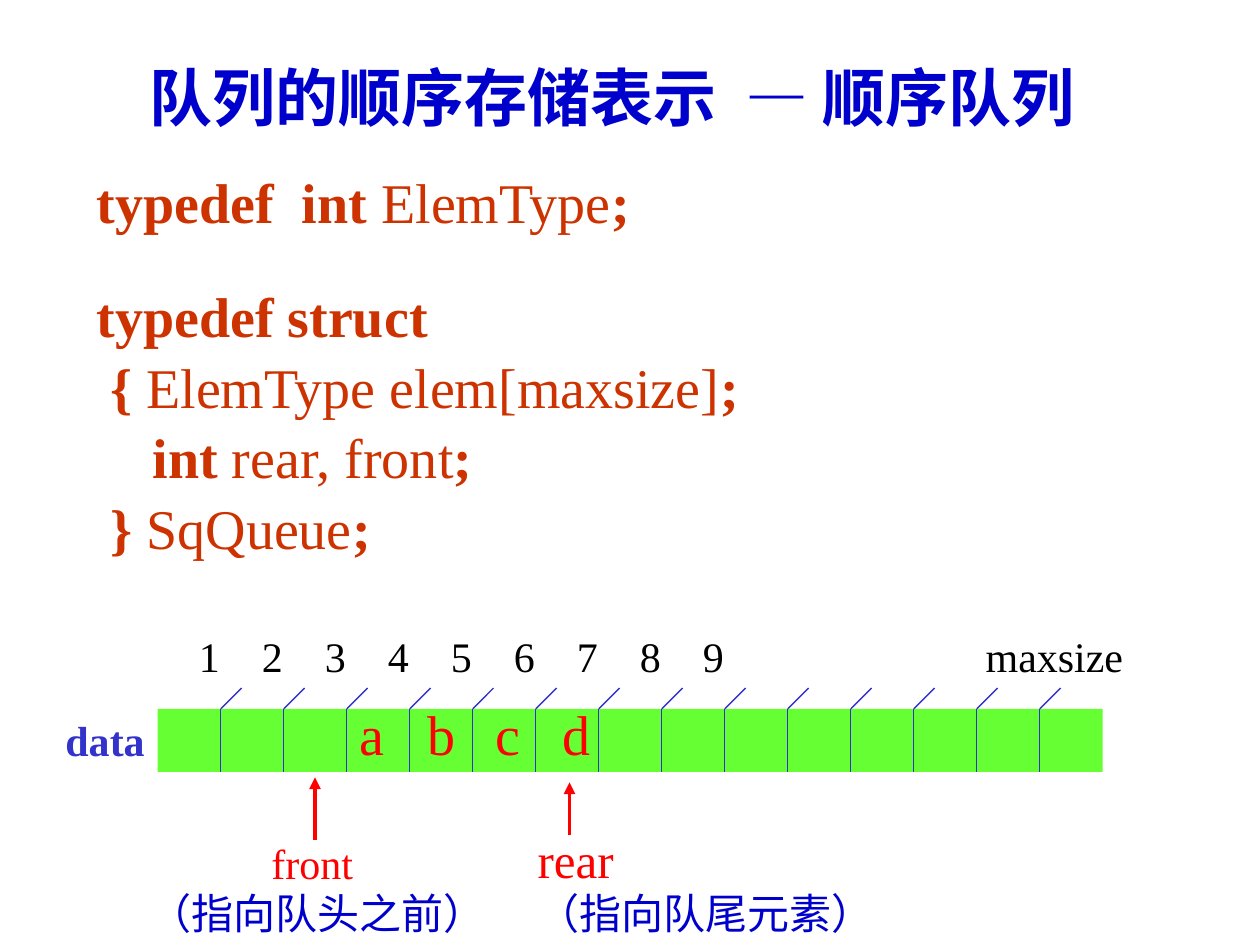
import pptx
import pptx.dml.color
import pptx.enum.shapes
import pptx.enum.text
import pptx.oxml.ns
import pptx.util
from lxml import etree

Cm, Pt = pptx.util.Cm, pptx.util.Pt
RGB = pptx.dml.color.RGBColor.from_string
ALIGN = pptx.enum.text.PP_ALIGN
qn = pptx.oxml.ns.qn


class Theme:
    latin, cjk = "Times New Roman", "Noto Sans CJK SC"
    title, code, cells = "0000CC", "CC3300", "66FF33"
    rule, index, pointer = "3333CC", "000000", "FF0000"
    title_size, code_size, rear_size, label_size = 36, 32, 28, 24


def style(p, size, color, bold=False, tabs=()):
    """Format every run of a paragraph and set its left tab stops in cm."""
    for r in p.runs:
        r.font.size, r.font.bold = Pt(size), bold
        r.font.name = Theme.latin
        r.font.color.rgb = RGB(color)
        ea = etree.SubElement(r.font._element, qn("a:ea"))
        ea.set("typeface", Theme.cjk)
    if tabs:
        tab_list = etree.SubElement(p._p.get_or_add_pPr(), qn("a:tabLst"))
        for pos in tabs:
            etree.SubElement(tab_list, qn("a:tab"), pos=str(Cm(pos)), algn="l")


def add_line(x1, y1, x2, y2, color, width, arrow=False):
    s = slide.shapes.add_connector(
        pptx.enum.shapes.MSO_CONNECTOR.STRAIGHT, Cm(x1), Cm(y1), Cm(x2), Cm(y2))
    s.line.color.rgb, s.line.width = RGB(color), Pt(width)
    if arrow:
        etree.SubElement(s.line._get_or_add_ln(), qn("a:tailEnd"), type="triangle")
    etree.SubElement(s._element.spPr, qn("a:effectLst"))


prs = pptx.Presentation()
prs.slide_width, prs.slide_height = Cm(25.4), Cm(19.05)
slide = prs.slides.add_slide(prs.slide_layouts[1])

# Title
title = slide.shapes.title
title.left, title.top, title.width, title.height = Cm(1.9), Cm(1.06), Cm(21.17), Cm(1.69)
tf = title.text_frame
tf.text = "队列的顺序存储表示  — 顺序队列 "
tf.auto_size = pptx.enum.text.MSO_AUTO_SIZE.NONE
p = tf.paragraphs[0]
p.alignment, p.line_spacing = ALIGN.CENTER, 1.05
style(p, Theme.title_size, Theme.title, bold=True)

# Type definitions: indent in cm, space before in points, bold and plain runs in turn
code_lines = [
    (0, 0, ["typedef  int ", "ElemType", ";"]),
    (0, 25, ["typedef struct"]),
    (0.28, 0, ["{ ", "ElemType elem[maxsize]", ";"]),
    (1.13, 0, ["int ", "rear, front", ";"]),
    (0.28, 0, ["} ", "SqQueue", ";"]),
]
body = slide.placeholders[1]
body.left, body.top, body.width, body.height = Cm(1.69), Cm(3.18), Cm(22.65), Cm(9.67)
tf = body.text_frame
tf.auto_size = pptx.enum.text.MSO_AUTO_SIZE.NONE
for i, (indent, before, parts) in enumerate(code_lines):
    p = tf.paragraphs[0] if i == 0 else tf.add_paragraph()
    p.line_spacing, p.space_before = 1.05, Pt(before)
    pPr = p._p.get_or_add_pPr()
    pPr.set("marL", str(Cm(indent)))
    pPr.set("indent", "0")
    etree.SubElement(pPr, qn("a:buNone"))
    for part in parts:
        p.add_run().text = part
    style(p, Theme.code_size, Theme.code, bold=True)
    for r in p.runs[1::2]:
        r.font.bold = False

# Array of cells with a tick above each divider
left, top, cell, count, tick = 3.18, 14.29, 1.27, 15, 0.42
bottom = top + cell
array = slide.shapes.add_shape(
    pptx.enum.shapes.MSO_SHAPE.RECTANGLE, Cm(left), Cm(top), Cm(cell * count), Cm(cell))
array.shadow.inherit = False
array.fill.solid()
array.fill.fore_color.rgb = RGB(Theme.cells)
array.line.fill.background()
for i in range(1, count):
    x = left + i * cell
    add_line(x, top, x, bottom, Theme.rule, 0.75)
    add_line(x, top, x + tick, top - tick, Theme.rule, 0.75)

# Labels: box in cm, alignment, tab stops, then (text, size, colour, bold) lines
size = Theme.label_size
index_tabs = [cell * i for i in range(1, 9)] + [15.86]
element_tabs = [1.37 * i for i in range(1, 4)]
labels = [
    ((3.76, 12.59, 20, 1.27), ALIGN.LEFT, index_tabs,
     [("\t".join("123456789") + "\tmaxsize", size, Theme.index, False)]),
    ((1.07, 14.27, 2.12, cell), ALIGN.LEFT, (),
     [("data", size, Theme.rule, True)]),
    ((6.99, 13.97, 5.5, 1.63), ALIGN.LEFT, element_tabs,
     [("\t".join("abcd"), Theme.code_size, Theme.pointer, False)]),
    ((10.59, 16.59, 8, 2.46), ALIGN.LEFT, (),
     [("rear", Theme.rear_size, Theme.pointer, False),
      ("（指向队尾元素）", size, Theme.title, False)]),
    ((2.4, 16.76, 8, 2.29), ALIGN.CENTER, (),
     [("front ", size, Theme.pointer, False),
      ("（指向队头之前）", size, Theme.title, False)]),
]
for box, align, tabs, lines in labels:
    s = slide.shapes.add_textbox(*[Cm(v) for v in box])
    tf = s.text_frame
    tf.word_wrap = True
    for i, (text, font_size, color, bold) in enumerate(lines):
        p = tf.paragraphs[0] if i == 0 else tf.add_paragraph()
        p.text, p.alignment = text, align
        style(p, font_size, color, bold, tabs)

# Pointer arrows for front and rear
for x, y_from, y_to in [(6.35, 16.94, 15.67), (11.48, 16.84, 15.77)]:
    add_line(x, y_from, x, y_to, Theme.pointer, 2.25, arrow=True)

prs.save("out.pptx")
